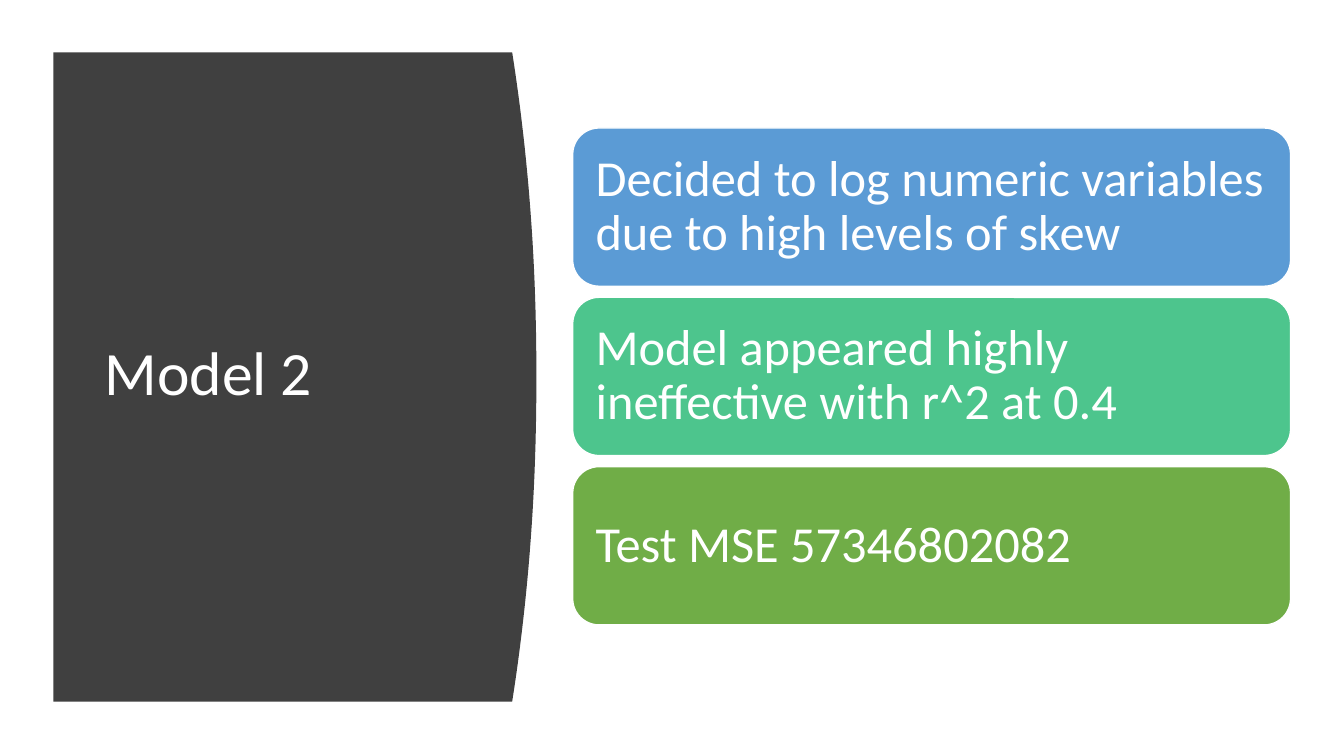
from pptx import Presentation
from pptx.dml.color import RGBColor
from pptx.enum.shapes import MSO_SHAPE as SHAPE
from pptx.enum.text import MSO_ANCHOR as ANCHOR, PP_ALIGN as ALIGN
from pptx.util import Pt

EMU_PER_PX = 9144
FONT = "Calibri"
WHITE = "FFFFFF"
POINTS = [
    ("Decided to log numeric variables due to high levels of skew", "5B9BD5"),
    ("Model appeared highly ineffective with r^2 at 0.4", "4DC58D"),
    ("Test MSE 57346802082", "70AD47"),
]


def px(n):
    """Turn pixels into EMU."""
    return round(n * EMU_PER_PX)


def rgb(color):
    """Turn a hex string into a colour."""
    return RGBColor.from_string(color)


def write(tf, text, size, inset_x, inset_y):
    """Fill a text frame with one white, left-aligned paragraph."""
    tf.word_wrap = True
    tf.vertical_anchor = ANCHOR.MIDDLE
    tf.margin_left = tf.margin_right = px(inset_x)
    tf.margin_top = tf.margin_bottom = px(inset_y)
    p = tf.paragraphs[0]
    p.text = text
    p.alignment = ALIGN.LEFT
    p.line_spacing = 0.9
    p.font.name = FONT
    p.font.size = Pt(size)
    p.font.color.rgb = rgb(WHITE)


def title_panel(s, title, x, y, w, h, bulge=24, steps=48):
    """Draw the dark panel with its bowed right side and the title."""
    curve = []
    for i in range(steps + 1):
        offset = abs(2 * i / steps - 1)
        curve.append((px(x + w - bulge * offset ** 2.1), px(y + h * i / steps)))
    builder = s.shapes.build_freeform(px(x), px(y))
    builder.add_line_segments(curve + [(px(x), px(y + h))], close=True)
    panel = builder.convert_to_shape()
    panel.shadow.inherit = False
    panel.fill.solid()
    panel.fill.fore_color.rgb = rgb("404040")
    panel.line.fill.background()
    box = s.shapes.add_textbox(px(x + 41), px(y + 59), px(w - 105), px(h - 120))
    write(box.text_frame, title, 44, 10, 5)


def point_cards(s, points, x, y, w, h, gap=11):
    """Stack one rounded card per point in equal rows."""
    card_h = (h - gap * (len(points) - 1)) / len(points)
    for i, (text, color) in enumerate(points):
        top = y + i * (card_h + gap)
        card = s.shapes.add_shape(SHAPE.ROUNDED_RECTANGLE, px(x), px(top), px(w), px(card_h))
        card.shadow.inherit = False
        card.fill.solid()
        card.fill.fore_color.rgb = rgb(color)
        card.line.color.rgb = rgb(WHITE)
        card.line.width = Pt(1)
        write(card.text_frame, text, 36, 15, 15)


def main():
    """Build the slide and save it."""
    prs = Presentation()
    prs.slide_width, prs.slide_height = px(1333), px(750)
    s = prs.slides.add_slide(prs.slide_layouts[6])
    title_panel(s, "Model 2", 53, 52, 479, 644)
    point_cards(s, POINTS, 568, 127, 712, 493)
    prs.save("out.pptx")


if __name__ == "__main__":
    main()
